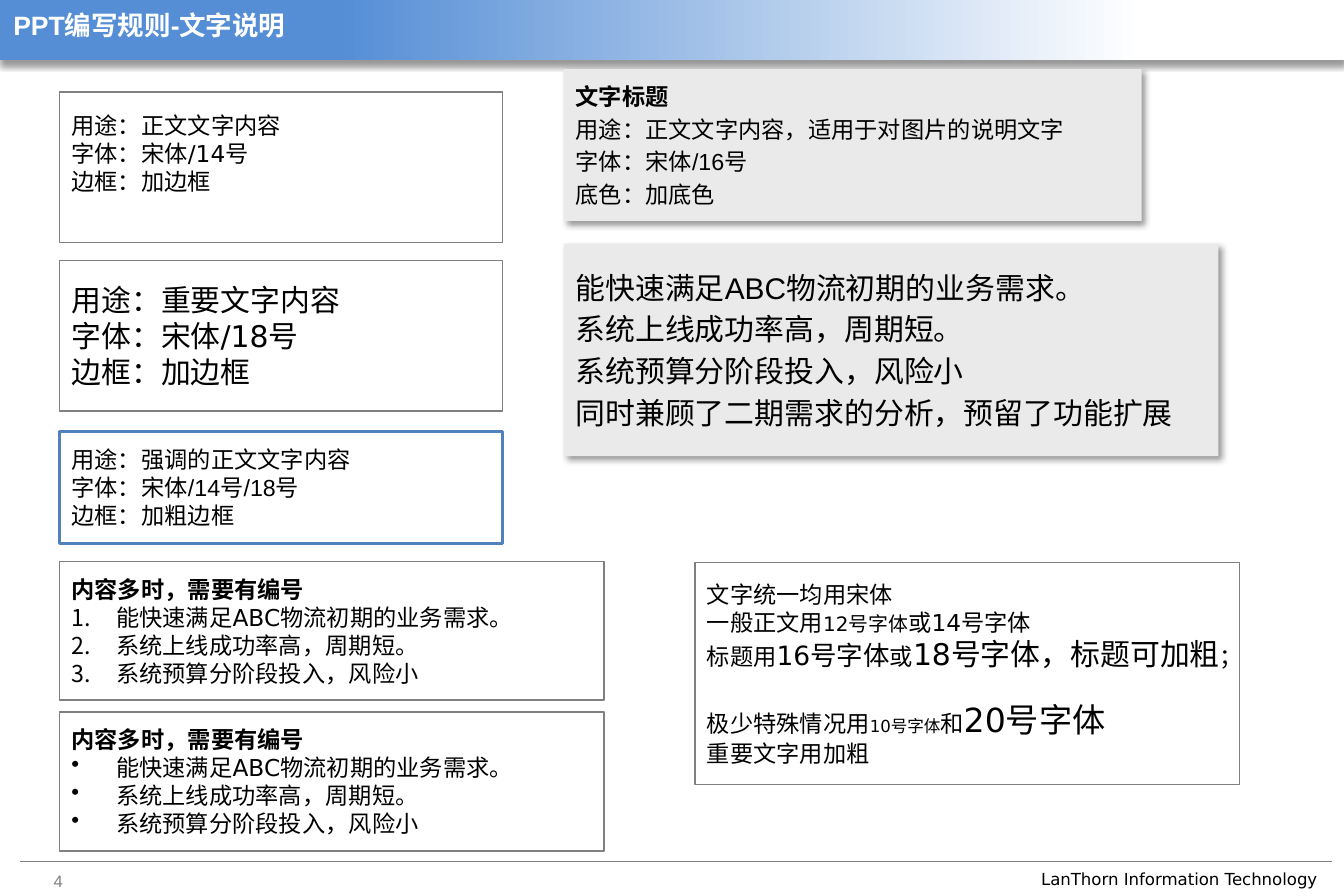
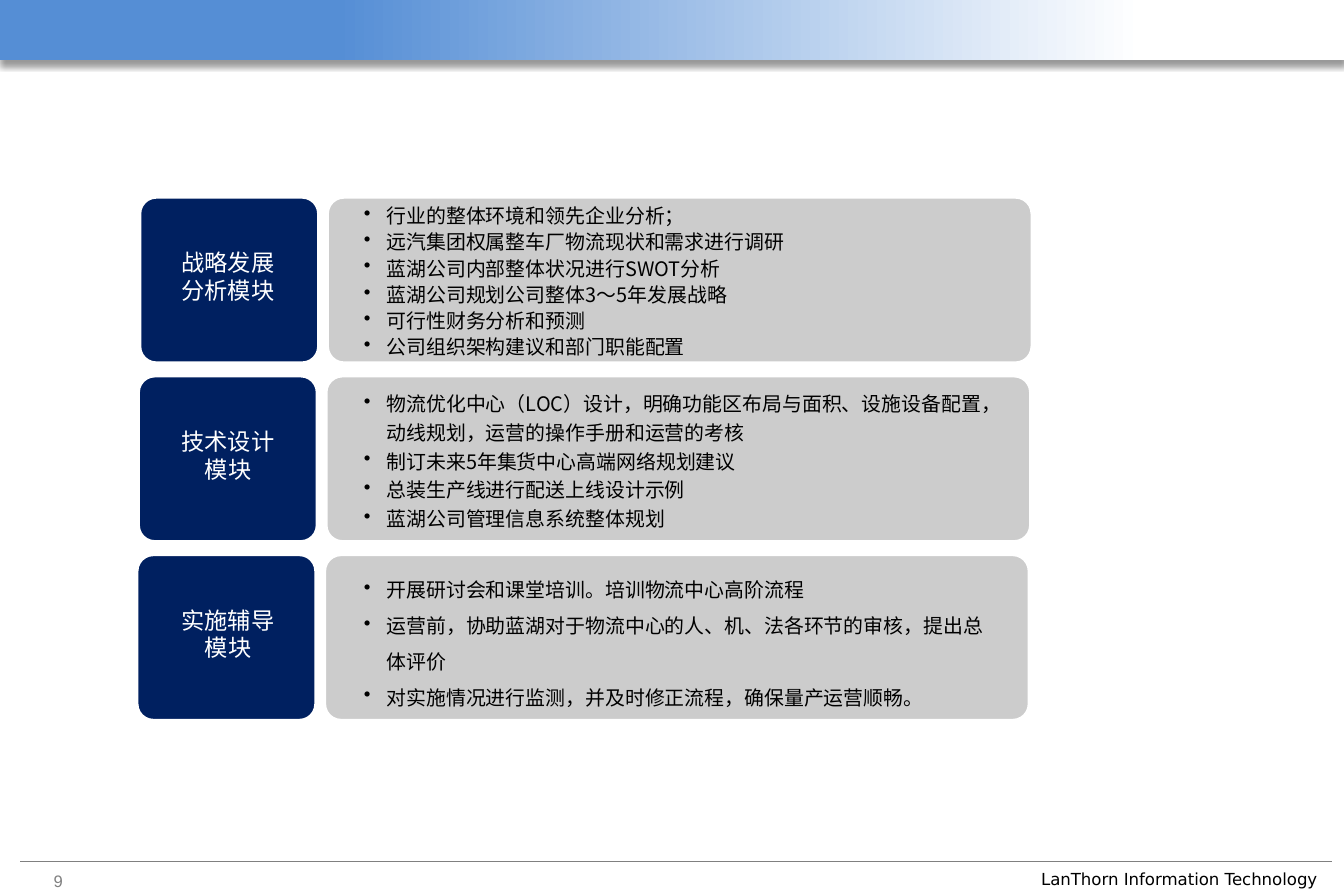
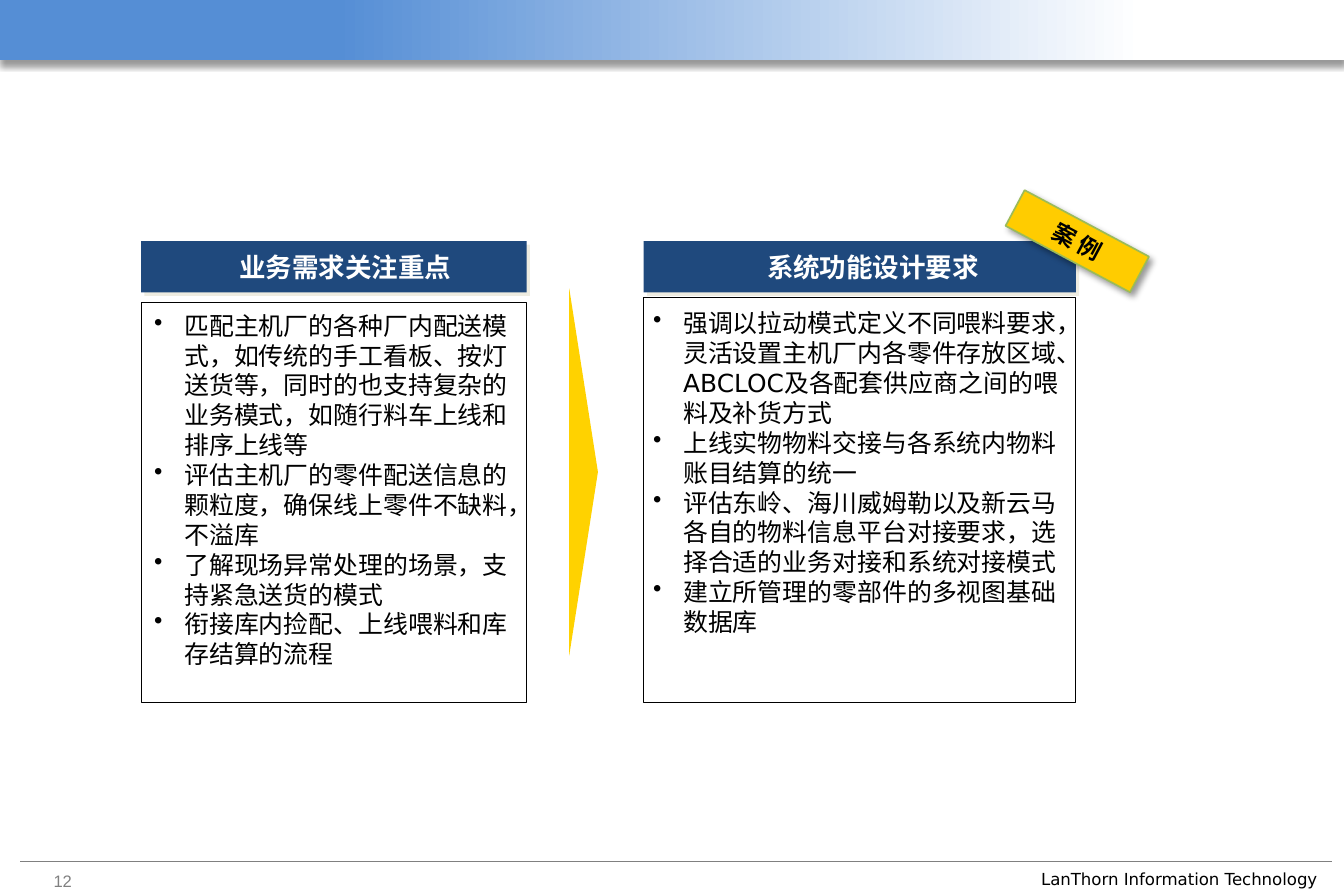
from lxml import etree
from pptx import Presentation
from pptx.dml.color import RGBColor
from pptx.enum.shapes import MSO_CONNECTOR, MSO_SHAPE
from pptx.enum.text import MSO_ANCHOR, MSO_AUTO_SIZE, PP_ALIGN
from pptx.oxml.ns import qn
from pptx.util import Cm, Pt

RECT, ROUND = MSO_SHAPE.RECTANGLE, MSO_SHAPE.ROUNDED_RECTANGLE
WEDGE = MSO_SHAPE.ISOSCELES_TRIANGLE
LINE = MSO_CONNECTOR.STRAIGHT
TOP, MID = MSO_ANCHOR.TOP, MSO_ANCHOR.MIDDLE
LEFT, CENTER = PP_ALIGN.LEFT, PP_ALIGN.CENTER
FIXED = MSO_AUTO_SIZE.NONE

HEX = {
    "white": "FFFFFF", "black": "000000", "gray": "808080", "sky": "558ED5",
    "pale": "EAEAEA", "blue": "4F81BD", "ash": "CCCCCC", "navy": "002060",
    "deep": "1F497D", "cream": "EEECE1", "gold": "FFD200", "amber": "FFCC00",
    "green": "9BBB59",
}
RGB = {name: RGBColor.from_string(code) for name, code in HEX.items()}
HAN, SANS, ARIAL, TIMES = "Noto Sans CJK SC", "DejaVu Sans", "Arial", "Times New Roman"
SOFT = ("black", 40, 4, 3, 45)
DROP = ("black", 40, 4, 3, 90)
EDGE = ("cream", 100, 0, 2.8, 45)
BARE = {f"margin_{side}": 0 for side in ("left", "top", "right", "bottom")}


def box(slide, kind, at, fill=None, line=None, shade=None):
    area = [Cm(n) for n in at]
    if kind is None:
        return slide.shapes.add_textbox(*area)
    shape = slide.shapes.add_shape(kind, *area)
    shape.shadow.inherit = False
    if fill:
        shape.fill.solid()
        shape.fill.fore_color.rgb = RGB[fill]
    else:
        shape.fill.background()
    if line:
        shape.line.color.rgb = RGB[line[0]]
        shape.line.width = Pt(line[1])
    else:
        shape.line.fill.background()
    if shade:
        tone, alpha, blur, dist, angle = shade
        effect = shape.element.spPr.find(qn("a:effectLst"))
        outer = etree.SubElement(effect, qn("a:outerShdw"), blurRad=str(Pt(blur)),
                                 dist=str(Pt(dist)), dir=str(angle * 60000),
                                 algn="tl", rotWithShape="0")
        color = etree.SubElement(outer, qn("a:srgbClr"), val=HEX[tone])
        etree.SubElement(color, qn("a:alpha"), val=str(alpha * 1000))
    return shape


def write(shape, lines, font, size, ink="black", bold=False, head=0,
          mark=None, hang=0, form=None, frame=None):
    text = shape.text_frame
    setup = {"word_wrap": True, "auto_size": FIXED, "vertical_anchor": MID}
    for key, val in {**setup, **(frame or {})}.items():
        setattr(text, key, val)
    for i, line in enumerate(lines):
        para = text.paragraphs[0] if i == 0 else text.add_paragraph()
        for key, val in {"alignment": LEFT, **(form or {})}.items():
            setattr(para, key, val)
        for part, points in [(line, size)] if isinstance(line, str) else line:
            run = para.add_run()
            run.text = part
            look = {"name": font, "size": Pt(points), "bold": bold or i < head}
            for key, val in look.items():
                setattr(run.font, key, val)
            run.font.color.rgb = RGB[ink]
            props = run._r.get_or_add_rPr()
            props.set("lang", "zh-CN")
            latin = props.find(qn("a:latin"))
            latin.addnext(etree.Element(qn("a:ea"), typeface=HAN))
        if mark and i >= head:
            props = para._p.get_or_add_pPr()
            props.set("marL", str(Cm(hang)))
            props.set("indent", str(-Cm(hang)))
            if mark == "1.":
                etree.SubElement(props, qn("a:buAutoNum"), type="arabicPeriod")
            else:
                etree.SubElement(props, qn("a:buChar"), char=mark)


deck = Presentation()
deck.slide_width, deck.slide_height = Cm(28.58), Cm(19.05)
rules = deck.slides.add_slide(deck.slide_layouts[5])
plan = deck.slides.add_slide(deck.slide_layouts[6])
case = deck.slides.add_slide(deck.slide_layouts[6])

rail = rules.shapes.add_connector(LINE, Cm(0.43), Cm(18.31), Cm(28.32), Cm(18.31))
rail.line.color.rgb = RGB["gray"]
rail.line.width = Pt(0.5)
etree.SubElement(rail.element.spPr, qn("a:effectLst"))
band = box(rules, RECT, (0, 0, 28.58, 1.27), "sky", shade=DROP)
band.fill.gradient()
band.fill.gradient_angle = 180
for stop, place, tone in zip(band.fill.gradient_stops, (0.15, 0.75), ("white", "sky")):
    stop.position = place
    stop.color.rgb = RGB[tone]
firm = box(rules, None, (21.89, 18.36, 6.73, 0.69))
write(firm, ["LanThorn Information Technology"], SANS, 10, frame={"vertical_anchor": TOP})
for i, part in enumerate((rail, band, firm)):
    part.element.xpath(".//p:cNvPr")[0].set("id", str(20 + i))
    deck.slide_master.shapes.element.append(part.element)

for slide, page in ((rules, "4"), (plan, "9"), (case, "12")):
    write(box(slide, None, (0.89, 18.39, 1.6, 0.76)), [page], ARIAL, 10, "gray",
          frame={"vertical_anchor": TOP})

title = rules.shapes.title
for key, val in {"left": 0.03, "top": 0.15, "width": 26.87, "height": 1.07}.items():
    setattr(title, key, Cm(val))
write(title, ["PPT编写规则-文字说明"], ARIAL, 16, "white", True,
      form={"line_spacing": 0.9}, frame={"vertical_anchor": TOP})

needs = ["能快速满足ABC物流初期的业务需求。", "系统上线成功率高，周期短。", "系统预算分阶段投入，风险小"]
notes = [
    ((11.99, 1.47, 12.29, 3.23), 14, 1,
     ["文字标题", "用途：正文文字内容，适用于对图片的说明文字", "字体：宋体/16号", "底色：加底色"]),
    ((11.99, 5.18, 13.92, 4.52), 18, 0, needs + ["同时兼顾了二期需求的分析，预留了功能扩展"]),
]
for at, size, head, lines in notes:
    write(box(rules, RECT, at, "pale", shade=SOFT), lines, ARIAL, size, head=head,
          form={"space_before": Pt(size * 0.2)})

thin, thick = ("gray", 1), ("blue", 2)
kinds = [
    (9.17, 2.39, thick, ARIAL, 14, {},
     ["用途：强调的正文文字内容", "字体：宋体/14号/18号", "边框：加粗边框"]),
    (1.96, 3.2, thin, SANS, 14, {"margin_bottom": Cm(0.72)},
     ["用途：正文文字内容", "字体：宋体/14号", "边框：加边框"]),
    (5.54, 3.2, thin, SANS, 18, {},
     ["用途：重要文字内容", "字体：宋体/18号", "边框：加边框"]),
]
for top, tall, line, font, size, frame, lines in kinds:
    write(box(rules, RECT, (1.27, top, 9.42, tall), "white", line), lines, font, size,
          frame=frame)

for top, mark in ((11.94, "1."), (15.14, "•")):
    write(box(rules, RECT, (1.27, top, 11.58, 2.95), "white", thin),
          ["内容多时，需要有编号"] + needs, SANS, 14, head=1, mark=mark, hang=0.95)

sizes = box(rules, RECT, (14.78, 11.96, 11.58, 4.72), "white", thin)
write(sizes, [
    "文字统一均用宋体",
    [("一般正文用", 14), ("12号字体", 12), ("或14号字体", 14)],
    [("标题用", 14), ("16号字体", 16), ("或", 14), ("18号字体，标题可加粗", 18), ("；", 14)],
    [("极少特殊情况用", 14), ("10号字体", 10), ("和", 14), ("20号字体", 20)],
    "重要文字用加粗",
], SANS, 14)
sizes.text_frame.paragraphs[3].space_before = Pt(16.8)

steps = [
    (["战略发展", "分析模块"], 1.1,
     ["行业的整体环境和领先企业分析；", "远汽集团权属整车厂物流现状和需求进行调研",
      "蓝湖公司内部整体状况进行SWOT分析", "蓝湖公司规划公司整体3～5年发展战略",
      "可行性财务分析和预测", "公司组织架构建议和部门职能配置"]),
    (["技术设计", "模块"], 1.2,
     ["物流优化中心（LOC）设计，明确功能区布局与面积、设施设备配置，动线规划，运营的操作手册和运营的考核",
      "制订未来5年集货中心高端网络规划建议", "总装生产线进行配送上线设计示例",
      "蓝湖公司管理信息系统整体规划"]),
    (["实施辅导模块"], 1.5,
     ["开展研讨会和课堂培训。培训物流中心高阶流程",
      "运营前，协助蓝湖对于物流中心的人、机、法各环节的审核，提出总体评价",
      "对实施情况进行监测，并及时修正流程，确保量产运营顺畅。"]),
]
for i, (label, space, lines) in enumerate(steps):
    top, shift = 4.19 + 3.8 * i, 0.03 * i
    for left, wide, fill in ((6.96, 14.99, "ash"), (2.97, 3.81, "navy")):
        card = box(plan, ROUND, (left - shift, top, wide, 3.53), fill, ("white", 2))
        card.adjustments[0] = 0.1
    write(box(plan, None, (3.58, top + 0.96, 2.54, 1.45)), label, TIMES, 14, "white",
          form={"alignment": CENTER})
    write(box(plan, None, (7.49, top, 13.79, 3.53)), lines, HAN, 12, mark="•", hang=0.48,
          form={"line_spacing": space})

panels = [
    ("业务需求关注重点", 3, 8.2, 3.99, 6.43, 8.51, (3.28, 6.6, 7.52, 7.7),
     ["匹配主机厂的各种厂内配送模式，如传统的手工看板、按灯送货等，同时的也支持复杂的业务模式，如随行料车上线和排序上线等",
      "评估主机厂的零件配送信息的颗粒度，确保线上零件不缺料，不溢库",
      "了解现场异常处理的场景，支持紧急送货的模式",
      "衔接库内捡配、上线喂料和库存结算的流程"]),
    ("系统功能设计要求", 13.69, 9.19, 15.21, 6.32, 8.61, (13.89, 6.55, 8.79, 7.06),
     ["强调以拉动模式定义不同喂料要求，灵活设置主机厂内各零件存放区域、ABCLOC及各配套供应商之间的喂料及补货方式",
      "上线实物物料交接与各系统内物料账目结算的统一",
      "评估东岭、海川威姆勒以及新云马各自的物料信息平台对接要求，选择合适的业务对接和系统对接模式",
      "建立所管理的零部件的多视图基础数据库"]),
]
for name, left, wide, inner, top, tall, area, lines in panels:
    box(case, RECT, (left, 5.13, wide, 1.09), "deep", shade=EDGE)
    write(box(case, None, (inner, 5.33, 6.71, 0.69)), [name], SANS, 16, "white", True,
          form={"alignment": CENTER}, frame=BARE)
    box(case, RECT, (left, top, wide, tall), line=("black", 0.5))
    write(box(case, None, area), lines, SANS, 15, mark="•", hang=0.64,
          frame={**BARE, "vertical_anchor": TOP})

arrow = box(case, WEDGE, (8.51, 9.73, 7.8, 0.61), "gold")
arrow.rotation = 90
arrow.adjustments[0] = 0.5
tag = box(case, RECT, (21.41, 4.7, 3, 0.86), "amber", ("green", 1), SOFT)
tag.rotation = 28.1
write(tag, ["案 例"], SANS, 14, bold=True, form={"alignment": CENTER})

deck.save("out.pptx")
